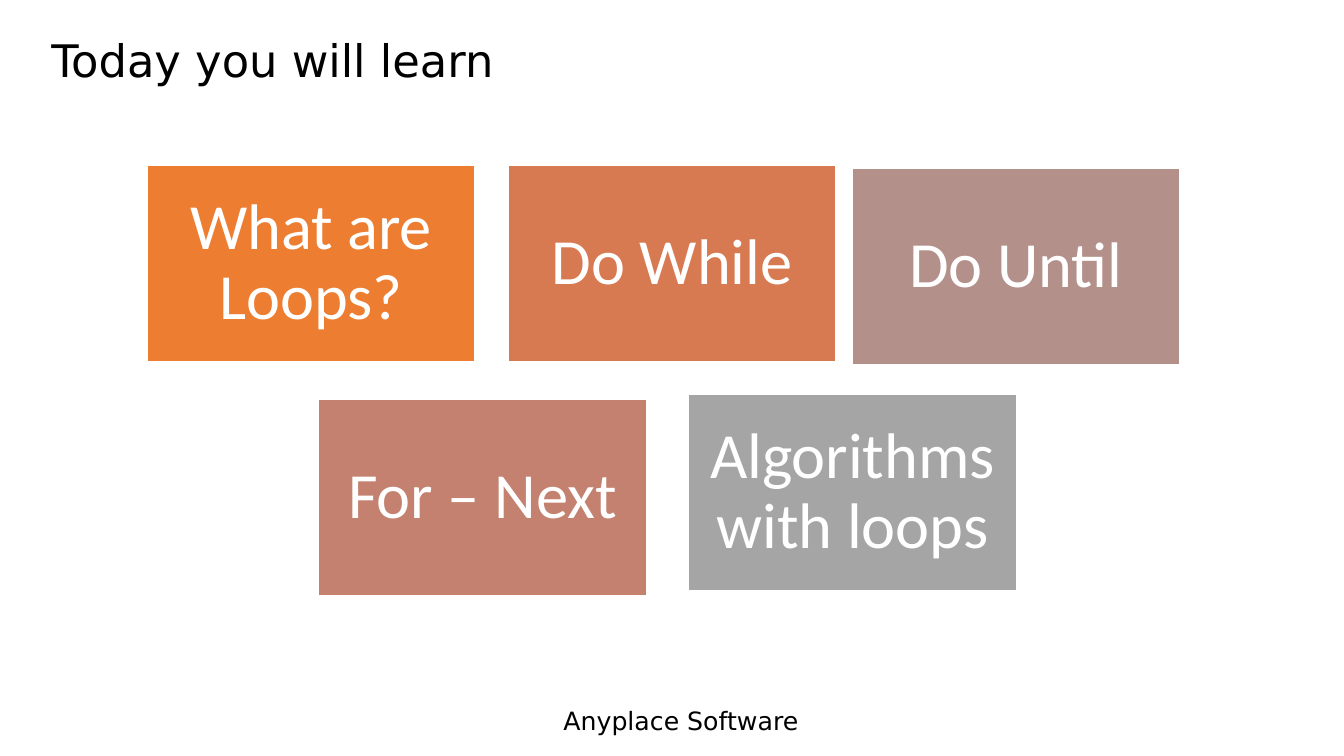
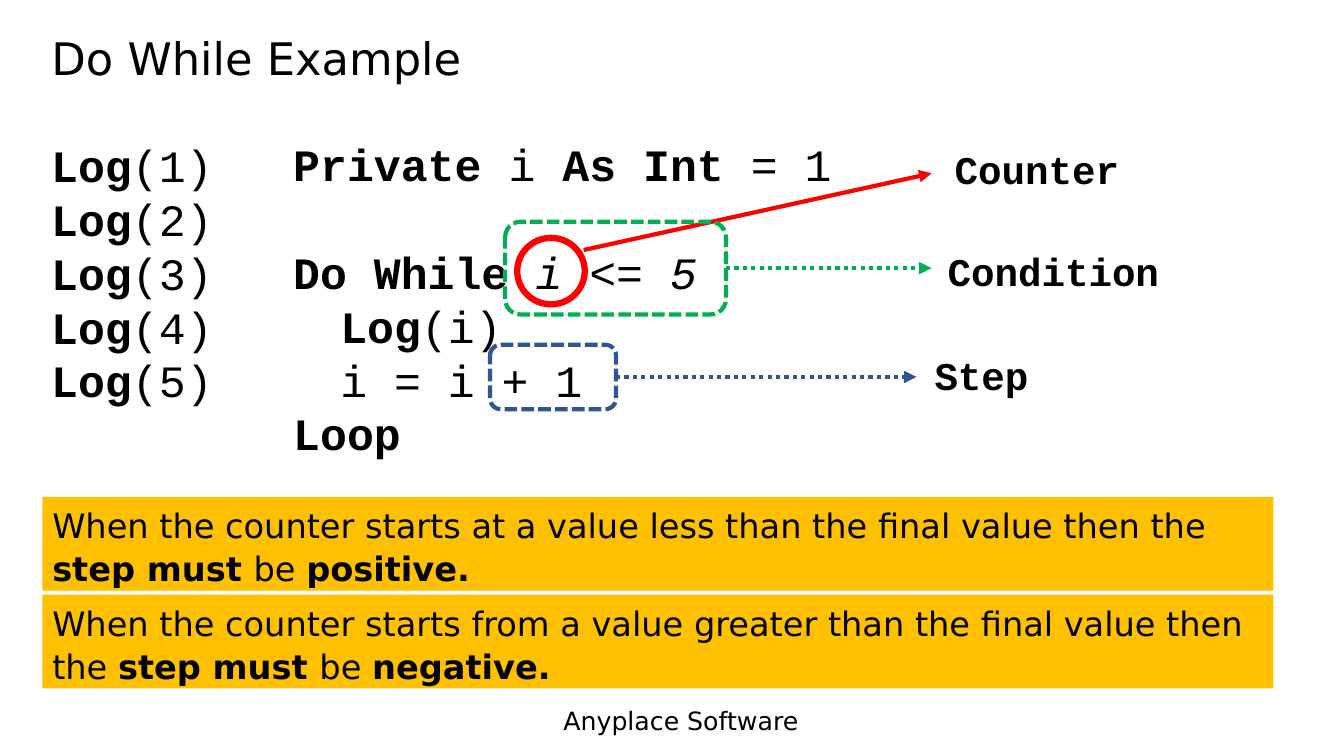
from lxml.etree import SubElement
from pptx import Presentation
from pptx.dml.color import RGBColor
from pptx.enum.dml import MSO_LINE
from pptx.enum.shapes import MSO_CONNECTOR, MSO_SHAPE
from pptx.enum.text import MSO_ANCHOR, PP_ALIGN
from pptx.oxml.ns import qn
from pptx.util import Inches, Pt

BLACK = RGBColor(0x00, 0x00, 0x00)
WHITE = RGBColor(0xFF, 0xFF, 0xFF)
RED = RGBColor(0xFF, 0x00, 0x00)
GREEN = RGBColor(0x00, 0xB0, 0x50)
BLUE = RGBColor(0x2F, 0x55, 0x97)
GOLD = RGBColor(0xFF, 0xC0, 0x00)
ORANGE = RGBColor(0xED, 0x7D, 0x31)
COPPER = RGBColor(0xD8, 0x7A, 0x51)
CLAY = RGBColor(0xC4, 0x81, 0x70)
MAUVE = RGBColor(0xB4, 0x90, 0x8B)
GRAY = RGBColor(0xA5, 0xA5, 0xA5)

BODY_FONT = "DejaVu Sans"
CODE_FONT = "Courier New"
CARD_FONT = "Calibri"
CELL = Inches(0.1)
CARD_COLUMNS, CARD_ROWS = 32.5, 19.5
CODE_TAB = Inches(0.2)
CODE_LINE = 38.5


def cells(*counts):
    return [round(count * CELL) for count in counts]


def write_text(frame, paragraphs, size=32, font=BODY_FONT, color=BLACK, align=PP_ALIGN.LEFT,
               anchor=MSO_ANCHOR.TOP, spacing=1.0, gaps=None, inset=None, tab=None):
    frame.word_wrap = True
    frame.vertical_anchor = anchor
    if inset is not None:
        frame.margin_left = frame.margin_right = inset
        frame.margin_top = frame.margin_bottom = inset
    for index, runs in enumerate(paragraphs):
        paragraph = frame.paragraphs[0] if index == 0 else frame.add_paragraph()
        if tab is not None:
            tabs = SubElement(paragraph._p.get_or_add_pPr(), qn("a:tabLst"))
            SubElement(tabs, qn("a:tab"), pos=str(tab), algn="l")
        paragraph.alignment = align
        paragraph.line_spacing = spacing
        if gaps and index in gaps:
            paragraph.space_before = Pt(gaps[index])
        for text, style in runs:
            run = paragraph.add_run()
            run.text = text
            run.font.name = font
            run.font.size = Pt(size)
            run.font.color.rgb = color
            run.font.bold = style == "bold"
            run.font.italic = style == "italic"


class Deck:
    def __init__(self):
        self.presentation = Presentation()
        self.presentation.slide_width = Inches(13.33)
        self.presentation.slide_height = Inches(7.5)
        self.slide = None

    def add_slide(self, title, title_row):
        self.slide = self.presentation.slides.add_slide(self.presentation.slide_layouts[5])
        shape = self.slide.shapes.title
        shape.left, shape.top, shape.width, shape.height = cells(4.1, title_row, 120.1, 9.5)
        write_text(shape.text_frame, [[(title, "")]], anchor=MSO_ANCHOR.MIDDLE, spacing=0.9)
        self.text([[("Anyplace Software", "")]], (54.9, 69.5, 29, 4), size=18)

    def text(self, paragraphs, place, **style):
        shape = self.slide.shapes.add_textbox(*cells(*place))
        write_text(shape.text_frame, paragraphs, **style)

    def code(self, paragraphs, place, **style):
        self.text(paragraphs, place, font=CODE_FONT, tab=CODE_TAB, **style)

    def shape(self, kind, place, fill=None, line=None, weight=1, dash=None):
        shape = self.slide.shapes.add_shape(kind, *cells(*place))
        shape.shadow.inherit = False
        if fill is None:
            shape.fill.background()
        else:
            shape.fill.solid()
            shape.fill.fore_color.rgb = fill
        if line is None:
            shape.line.fill.background()
        else:
            shape.line.color.rgb = line
            shape.line.width = Pt(weight)
            if dash is not None:
                shape.line.dash_style = dash
        return shape

    def card(self, label, column, row, fill):
        card = self.shape(MSO_SHAPE.RECTANGLE, (column, row, CARD_COLUMNS, CARD_ROWS), fill, WHITE)
        write_text(card.text_frame, [[(label, "")]], size=46, font=CARD_FONT, color=WHITE,
                   align=PP_ALIGN.CENTER, anchor=MSO_ANCHOR.MIDDLE, spacing=0.9, inset=Inches(0.19))

    def note(self, runs, row):
        note = self.shape(MSO_SHAPE.RECTANGLE, (4.2, row, 122.1, 9.3), GOLD)
        write_text(note.text_frame, [runs], size=24, spacing=1.07)

    def arrow(self, start, end, color, dash=None, source=None):
        arrow = self.slide.shapes.add_connector(MSO_CONNECTOR.STRAIGHT, *cells(*start, *end))
        if source is not None:
            arrow.begin_connect(source, 3)
        arrow.line.color.rgb = color
        arrow.line.width = Pt(3)
        if dash is not None:
            arrow.line.dash_style = dash
        SubElement(arrow.line._get_or_add_ln(), qn("a:tailEnd"), type="triangle")
        SubElement(arrow._element.spPr, qn("a:effectLst"))

    def label(self, text, column, row, columns):
        self.code([[(text, "bold")]], (column, row, columns, 5.7), size=28)

    def callout(self, text, frame_place, arrow_end, label_place, color):
        left, top, width, height = frame_place
        frame = self.shape(MSO_SHAPE.ROUNDED_RECTANGLE, frame_place, line=color, weight=3,
                           dash=MSO_LINE.SQUARE_DOT)
        middle = top + height / 2
        self.arrow((left + width, middle), (arrow_end, middle), color, MSO_LINE.ROUND_DOT, frame)
        self.label(text, *label_place, 26.9)


def build_topics(deck):
    deck.add_slide("Today you will learn", 1.5)
    for card in (
        ("What are Loops?", 14.6, 16.4, ORANGE),
        ("Do While", 50.4, 16.4, COPPER),
        ("For – Next", 31.6, 39.6, CLAY),
        ("Do Until", 84.5, 16.7, MAUVE),
        ("Algorithms with loops", 68.3, 39.1, GRAY),
    ):
        deck.card(*card)


def build_example(deck):
    deck.add_slide("Do While Example", 1.3)
    log_lines = [[("Log", "bold"), (f"({number})", "")] for number in range(1, 6)]
    deck.code(log_lines, (4.1, 13.2, 20, 34.2))
    deck.code([
        [("Private ", "bold"), ("i ", ""), ("As Int ", "bold"), ("= 1", "")],
        [("Do While ", "bold"), ("i <= 5", "italic")],
        [("\t ", ""), ("Log", "bold"), ("(i)", "")],
        [("\t i = i + 1", "")],
        [("Loop", "bold")],
    ], (28.1, 13.1, 58.9, 34.2), gaps={1: CODE_LINE})

    deck.shape(MSO_SHAPE.OVAL, (51.3, 23.6, 6.7, 6.6), line=RED, weight=4.5)
    deck.arrow((57.9, 24.8), (92.4, 17.2), RED)
    deck.label("Counter", 93.7, 13.9, 18.9)
    deck.callout("Condition", (50.1, 22, 21.9, 9.2), 92.4, (93, 24), GREEN)
    deck.callout("Step", (48.6, 34.2, 12.5, 6.4), 90.9, (91.7, 34.4), BLUE)

    for row, opening, ending in (
        (49.3, "When the counter starts at a value less than the final value then the ", "positive."),
        (59, "When the counter starts from a value greater than the final value then the ", "negative."),
    ):
        deck.note([(opening, ""), ("step must ", "bold"), ("be ", ""), (ending, "bold")], row)


def main():
    deck = Deck()
    build_topics(deck)
    build_example(deck)
    deck.presentation.save("out.pptx")


if __name__ == "__main__":
    main()
